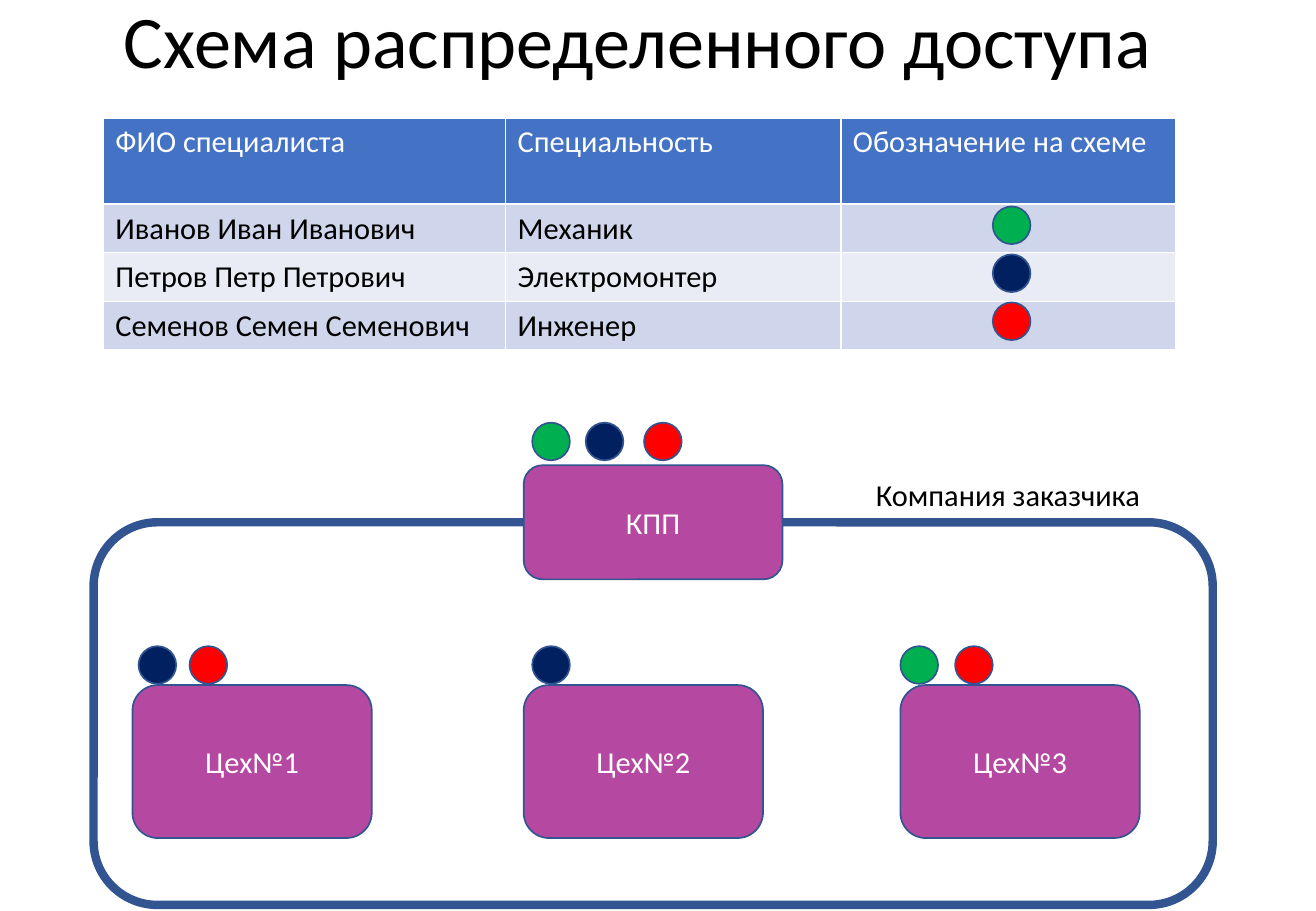
import pptx
import pptx.util
import pptx.dml.color
import pptx.enum.shapes
import pptx.enum.text

Inches = pptx.util.Inches
Pt = pptx.util.Pt
RGBColor = pptx.dml.color.RGBColor
Shape = pptx.enum.shapes.MSO_SHAPE
Align = pptx.enum.text.PP_ALIGN
Anchor = pptx.enum.text.MSO_ANCHOR

WHITE = RGBColor(0xFF, 0xFF, 0xFF)
BLACK = RGBColor(0x00, 0x00, 0x00)
PURPLE = RGBColor(0xB5, 0x48, 0xA0)
EDGE = RGBColor(0x32, 0x54, 0x91)
HEAD = RGBColor(0x44, 0x72, 0xC4)
BANDS = (RGBColor(0xCF, 0xD5, 0xEA), RGBColor(0xE9, 0xEB, 0xF5))
GREEN = RGBColor(0x00, 0xB0, 0x50)
NAVY = RGBColor(0x00, 0x20, 0x60)
RED = RGBColor(0xFF, 0x00, 0x00)


def write(frame, text, size=18, color=BLACK, align=Align.LEFT, spacing=None):
    para = frame.paragraphs[0]
    para.alignment = align
    para.line_spacing = spacing
    run = para.add_run()
    run.text = text
    font = run.font
    font.name, font.size, font.bold = "Calibri", Pt(size), False
    font.color.rgb = color


class Scheme:
    dot_size = 0.31

    def __init__(self, slide):
        self.shapes = slide.shapes

    def label(self, text, x, y, w, h, wrap=True, anchor=Anchor.TOP, **style):
        frame = self.shapes.add_textbox(*map(Inches, (x, y, w, h))).text_frame
        frame.word_wrap = wrap
        frame.vertical_anchor = anchor
        write(frame, text, **style)

    def shape(self, kind, x, y, w, h, fill=None, line=1):
        item = self.shapes.add_shape(kind, *map(Inches, (x, y, w, h)))
        item.shadow.inherit = False
        if fill is None:
            item.fill.background()
        else:
            item.fill.solid()
            item.fill.fore_color.rgb = fill
        item.line.color.rgb = EDGE
        item.line.width = Pt(line)
        return item

    def room(self, text, x, y, w, h):
        frame = self.shape(Shape.ROUNDED_RECTANGLE, x, y, w, h, PURPLE).text_frame
        frame.vertical_anchor = Anchor.MIDDLE
        write(frame, text, color=WHITE, align=Align.CENTER)

    def dot(self, x, y, color):
        self.shape(Shape.OVAL, x, y, self.dot_size, self.dot_size, color)

    def table(self, rows, x, y, widths, heights):
        box = (x, y, sum(widths), sum(heights))
        grid = self.shapes.add_table(len(rows), len(widths), *map(Inches, box)).table
        for col, width in zip(grid.columns, widths):
            col.width = Inches(width)
        for r, (row, height) in enumerate(zip(rows, heights)):
            grid.rows[r].height = Inches(height)
            for c, text in enumerate(row):
                cell = grid.cell(r, c)
                cell.fill.solid()
                cell.fill.fore_color.rgb = BANDS[(r - 1) % 2] if r else HEAD
                if text:
                    write(cell.text_frame, text, color=BLACK if r else WHITE)


def main():
    deck = pptx.Presentation()
    deck.slide_width, deck.slide_height = Inches(10.83), Inches(7.5)
    scheme = Scheme(deck.slides.add_slide(deck.slide_layouts[6]))

    # Title
    scheme.label("Схема распределенного доступа", 0.92, -0.03, 9, 0.79,
                 anchor=Anchor.MIDDLE, size=44, spacing=0.9)

    # Staff table with its colour key
    staff = [
        ("ФИО специалиста", "Специальность", "Обозначение на схеме"),
        ("Иванов Иван Иванович", "Механик", ""),
        ("Петров Петр Петрович", "Электромонтер", ""),
        ("Семенов Семен Семенович", "Инженер", ""),
    ]
    scheme.table(staff, 0.85, 0.97, (3.31, 2.76, 2.76), (0.71, 0.4, 0.4, 0.4))
    for i, color in enumerate((GREEN, NAVY, RED)):
        scheme.dot(8.17, 1.7 + 0.395 * i, color)

    # Company border
    scheme.shape(Shape.ROUNDED_RECTANGLE, 0.77, 4.3, 9.21, 3.15, line=5)
    scheme.label("Компания заказчика", 7.11, 3.87, 2.4, 0.4, wrap=False)

    # Checkpoint
    scheme.room("КПП", 4.31, 3.83, 2.13, 0.94)
    for x, color in ((4.38, GREEN), (4.82, NAVY), (5.3, RED)):
        scheme.dot(x, 3.48, color)

    # Workshops and who may enter them
    shops = [
        ("Цех№1", 1.09, ((1.14, NAVY), (1.56, RED))),
        ("Цех№2", 4.31, ((4.38, NAVY),)),
        ("Цех№3", 7.41, ((7.41, GREEN), (7.86, RED))),
    ]
    for name, left, dots in shops:
        scheme.room(name, left, 5.64, 1.97, 1.26)
        for x, color in dots:
            scheme.dot(x, 5.32, color)

    deck.save("out.pptx")


if __name__ == "__main__":
    main()
